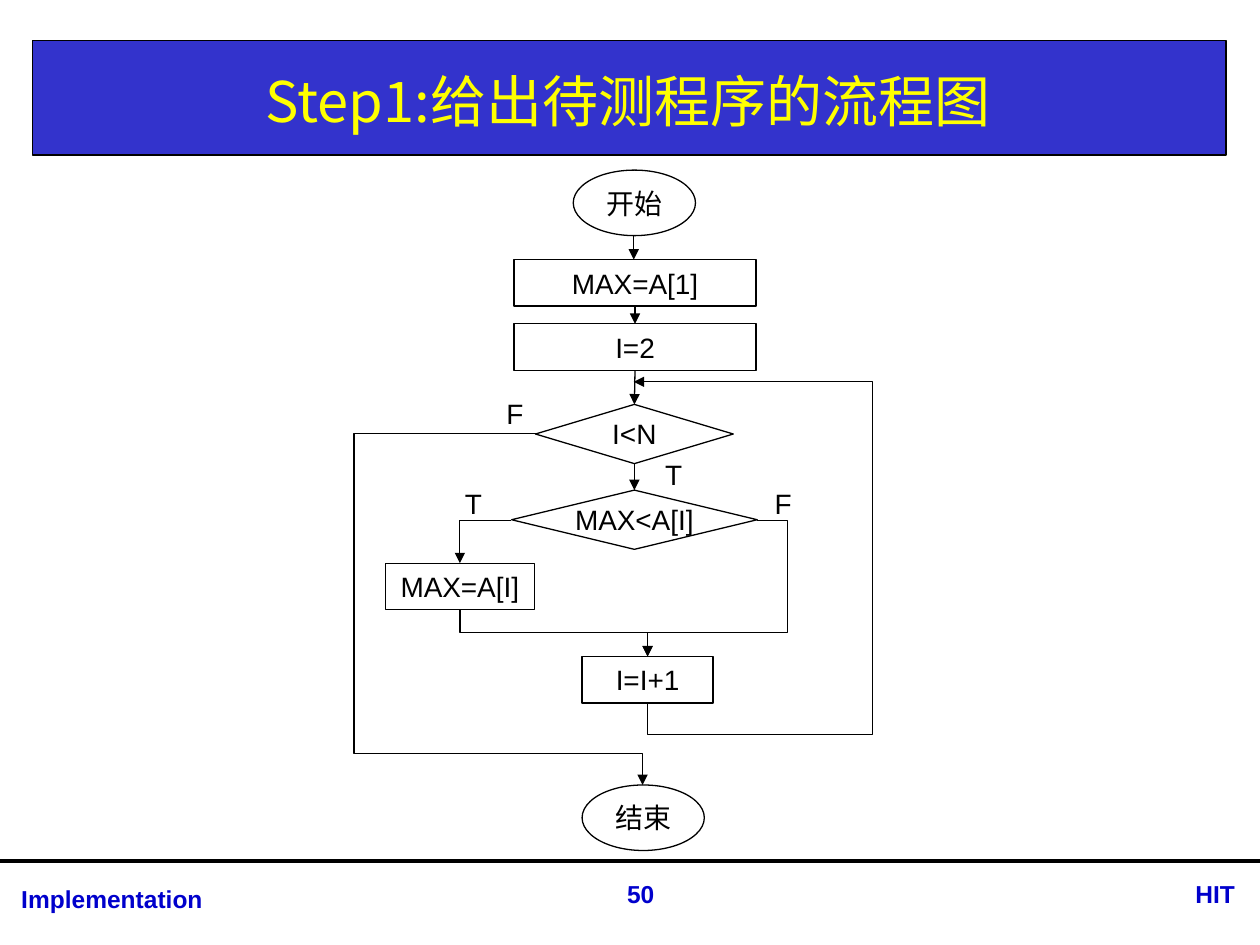
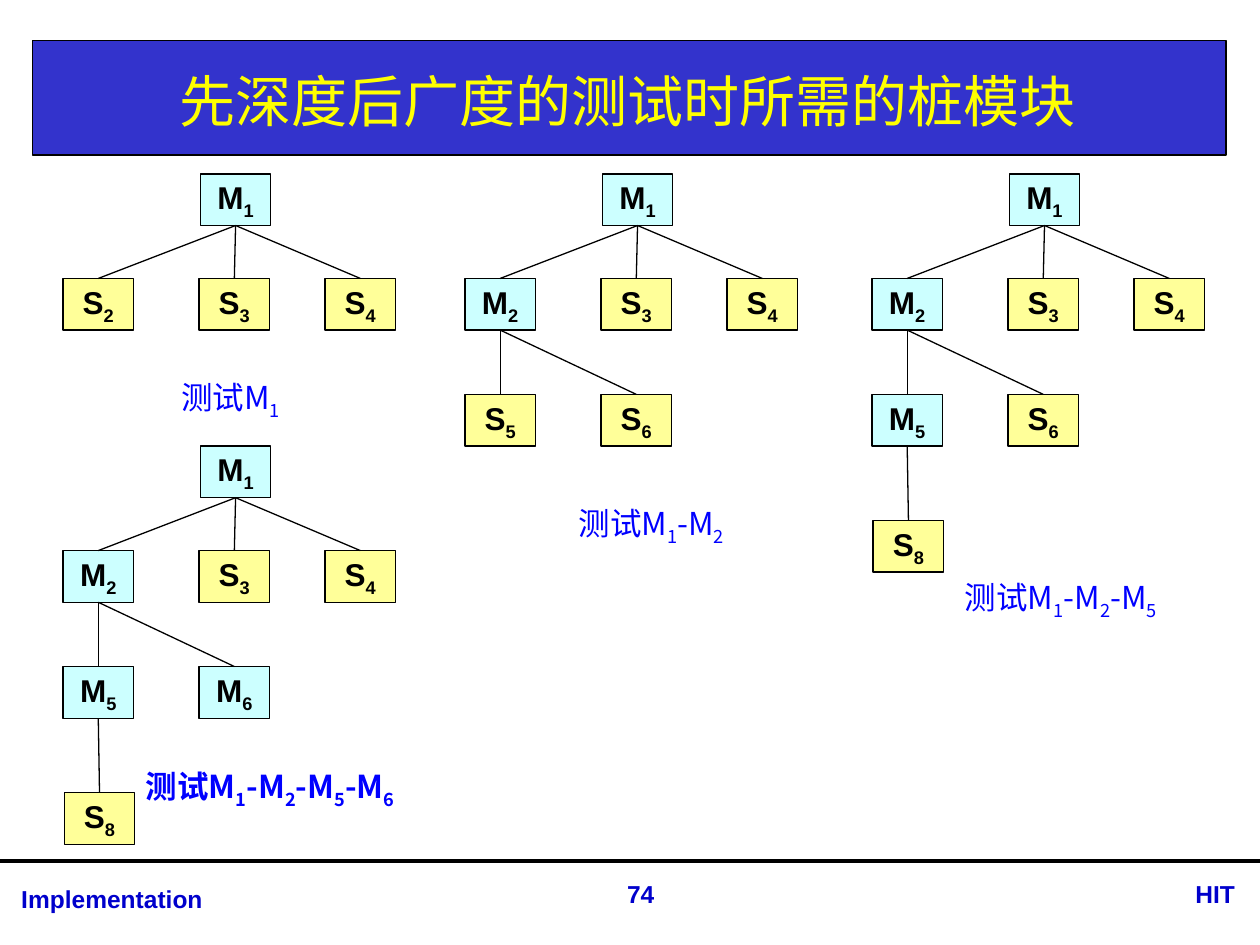
from dataclasses import dataclass

from lxml.etree import SubElement
from pptx import Presentation
from pptx.dml.color import RGBColor
from pptx.enum.shapes import MSO_CONNECTOR as Connector, MSO_SHAPE as Shape
from pptx.enum.text import MSO_ANCHOR as Anchor, MSO_AUTO_SIZE as AutoSize, PP_ALIGN as Align
from pptx.oxml.ns import qn
from pptx.util import Inches, Pt


@dataclass(frozen=True)
class Theme:
    band: str = "3333CC"
    title: str = "FFFF00"
    footer: str = "0000CC"
    caption: str = "0000FF"
    ink: str = "000000"
    module: str = "CCFFFF"
    stub: str = "FFFF99"
    latin: str = "Arial"
    chinese: str = "Noto Sans CJK SC"
    title_size: int = 32
    tree_size: int = 18
    flow_size: int = 16
    footer_size: int = 14
    thin: float = 0.75
    thick: float = 2.25


THEME = Theme()
TOP, LEFT, BOTTOM, RIGHT = range(4)

NODE_SIZE = (0.56, 0.41)
PARENTS = {2: 1, 3: 1, 4: 1, 5: 2, 6: 2, 8: 5}
NODE_OFFSETS = {
    1: (1.09, 0), 2: (0, 0.83), 3: (1.08, 0.83), 4: (2.08, 0.83),
    5: (0, 1.75), 6: (1.08, 1.75), 8: (0.01, 2.75),
}


def inches(values):
    return [Inches(value) for value in values]


def format_paragraph(paragraph, size, color, font=THEME.latin, bold=False, align=Align.CENTER):
    paragraph.alignment = align
    paragraph.font.size = Pt(size)
    paragraph.font.bold = bold
    paragraph.font.color.rgb = RGBColor.from_string(color)
    paragraph.font.name = font
    SubElement(paragraph.font._rPr, qn("a:ea")).set("typeface", font)


def write(paragraph, text):
    """Add the text, setting each part after an underscore's letter low: M_1 gives M with a subscript 1."""
    for part in text.replace("_", "|_").replace("-", "|-").split("|"):
        run = paragraph.add_run()
        run.text = part.lstrip("_")
        if part.startswith("_"):
            run._r.get_or_add_rPr().set("baseline", "-25000")


def add_label(shapes, frame, text, size, color=THEME.ink, wrap=True, **style):
    box = shapes.add_textbox(*inches(frame))
    box.text_frame.word_wrap = wrap
    paragraph = box.text_frame.paragraphs[0]
    write(paragraph, text)
    format_paragraph(paragraph, size, color, **style)


def style_line(line, width=THEME.thin):
    line.color.rgb = RGBColor.from_string(THEME.ink)
    line.width = Pt(width)


def add_box(shapes, frame, kind=Shape.RECTANGLE, fill=None):
    box = shapes.add_shape(kind, *inches(frame))
    box.shadow.inherit = False
    if fill:
        box.fill.solid()
        box.fill.fore_color.rgb = RGBColor.from_string(fill)
    else:
        box.fill.background()
    style_line(box.line)
    return box


def add_node(shapes, frame, text, size, kind=Shape.RECTANGLE, fill=None, **style):
    node = add_box(shapes, frame, kind, fill)
    node.text_frame.word_wrap = True
    node.text_frame.vertical_anchor = Anchor.MIDDLE
    paragraph = node.text_frame.paragraphs[0]
    write(paragraph, text)
    format_paragraph(paragraph, size, THEME.ink, **style)
    return node


def style_connector(connector, width=THEME.thin, arrow=False):
    style_line(connector.line, width)
    if arrow:
        SubElement(connector.line._get_or_add_ln(), qn("a:tailEnd")).set("type", "triangle")
    SubElement(connector._element.spPr, qn("a:effectLst"))


def add_line(shapes, start, end, **style):
    line = shapes.add_connector(Connector.STRAIGHT, *inches(start + end))
    style_connector(line, **style)
    return line


def join_down(shapes, upper, lower, **style):
    line = add_line(shapes, (0, 0), (1, 1), **style)
    line.begin_connect(upper, BOTTOM)
    line.end_connect(lower, TOP)


def add_elbow(shapes, points, begin=None, end=None):
    """Draw an arrow along right-angled points; begin and end are (shape, side) to join."""
    (x0, y0), (x1, y1) = points[0], points[-1]
    elbow = shapes.add_connector(Connector.ELBOW, *inches((x0, y0, x1, y1)))
    if begin:
        elbow.begin_connect(*begin)
    if end:
        elbow.end_connect(*end)

    # A route that sets off vertically is a horizontal one turned by 90 degrees.
    upright = points[1][0] == x0
    local = [(y - y0, x0 - x) if upright else (x - x0, y - y0) for x, y in points]
    span = local[-1]
    width, height = abs(span[0]), abs(span[1])
    elbow.left, elbow.top = inches(((x0 + x1 - width) / 2, (y0 + y1 - height) / 2))
    elbow.width, elbow.height = inches((width, height))
    transform = elbow._element.spPr.find(qn("a:xfrm"))
    transform.set("rot", "5400000" if upright else "0")
    transform.set("flipH", str(int(span[0] < 0)))
    transform.set("flipV", str(int(span[1] < 0)))

    geometry = elbow._element.spPr.find(qn("a:prstGeom"))
    geometry.set("prst", f"bentConnector{len(points) - 1}")
    guides = geometry.find(qn("a:avLst"))
    for index, point in enumerate(local[1:-2], start=1):
        axis = (index + 1) % 2
        share = round(point[axis] / span[axis] * 100000)
        guide = SubElement(guides, qn("a:gd"))
        guide.set("name", f"adj{index}")
        guide.set("fmla", f"val {share}")
    style_connector(elbow, arrow=True)


def add_slide(presentation, title_text, number):
    slide = presentation.slides.add_slide(presentation.slide_layouts[5])
    shapes, title = slide.shapes, slide.shapes.title
    band = add_box(shapes, (0.26, 0.32, 9.47, 0.91), fill=THEME.band)
    title.element.addprevious(band.element)
    title.left, title.top, title.width, title.height = inches((0.26, 0.36, 9.45, 0.87))
    title.text_frame.text = title_text
    title.text_frame.auto_size = AutoSize.NONE
    title.text_frame.vertical_anchor = Anchor.MIDDLE
    format_paragraph(title.text_frame.paragraphs[0], THEME.title_size, THEME.title, THEME.chinese)

    add_line(shapes, (0, 6.83), (10, 6.83), width=THEME.thick)
    for frame, text, align in (
        ((0.07, 6.97, 3.85, 0.34), "Implementation", Align.LEFT),
        ((4.57, 6.93, 1.03, 0.34), str(number), Align.CENTER),
        ((8.87, 6.93, 1.03, 0.34), "HIT", Align.RIGHT),
    ):
        add_label(shapes, frame, text, THEME.footer_size, THEME.footer, bold=True, align=align)
    return slide


def add_flowchart(slide):
    shapes = slide.shapes.add_group_shape().shapes
    size = THEME.flow_size

    def terminal(left, top, text):
        return add_node(shapes, (left, top, 0.97, 0.52), text, size, Shape.OVAL, font=THEME.chinese)

    def step(left, top, width, text):
        return add_node(shapes, (left, top, width, 0.37), text, size)

    def decision(left, top, width, text):
        diamond = add_box(shapes, (left, top, width, 0.47), Shape.DIAMOND)
        add_label(shapes, (left, top + 0.05, width, 0.37), text, size, wrap=False)
        return diamond

    start = terminal(4.55, 1.35, "开始")
    first_max = step(4.08, 2.06, 1.92, "MAX=A[1]")
    first_index = step(4.08, 2.57, 1.92, "I=2")
    in_range = decision(4.25, 3.21, 1.57, "I<N")
    is_larger = decision(4.06, 3.89, 1.95, "MAX<A[I]")
    new_max = step(3.06, 4.47, 1.18, "MAX=A[I]")
    next_index = step(4.62, 5.21, 1.04, "I=I+1")
    finish = terminal(4.62, 6.23, "结束")

    for left, top, text in (
        (3.92, 3.1, "F"), (5.18, 3.58, "T"), (3.59, 3.81, "T"), (6.05, 3.81, "F"),
    ):
        add_label(shapes, (left, top, 0.25, 0.37), text, size, wrap=False)

    middle = 5.03
    add_line(shapes, (middle, 1.87), (middle, 2.06), arrow=True)
    for upper, lower in (
        (first_max, first_index), (first_index, in_range), (in_range, is_larger),
    ):
        join_down(shapes, upper, lower, arrow=True)

    add_elbow(shapes, [(4.25, 3.44), (2.81, 3.44), (2.81, 5.98), (5.1, 5.98), (5.1, 6.23)],
              (in_range, LEFT), (finish, TOP))
    add_elbow(shapes, [(4.06, 4.13), (3.65, 4.13), (3.65, 4.47)],
              (is_larger, LEFT), (new_max, TOP))
    add_elbow(shapes, [(3.65, 4.84), (3.65, 5.02), (5.14, 5.02), (5.14, 5.21)],
              (new_max, BOTTOM), (next_index, TOP))
    add_elbow(shapes, [(6.01, 4.13), (6.25, 4.13), (6.25, 5.02), (5.14, 5.02), (5.14, 5.21)],
              (is_larger, RIGHT), (next_index, TOP))
    add_elbow(shapes, [(5.14, 5.58), (5.14, 5.83), (6.93, 5.83), (6.93, 3.03), (middle, 3.03)],
              (next_index, BOTTOM))


def add_test_tree(slide, origin, tested, caption_frame, bold=False):
    """Draw the tested modules, with a stub for each untested module they call."""
    shapes = slide.shapes.add_group_shape().shapes
    nodes = {}
    for number, (across, down) in NODE_OFFSETS.items():
        parent = PARENTS.get(number)
        if parent and parent not in tested:
            continue
        letter, fill = ("M", THEME.module) if number in tested else ("S", THEME.stub)
        frame = (origin[0] + across, origin[1] + down, *NODE_SIZE)
        nodes[number] = add_node(shapes, frame, f"{letter}_{number}", THEME.tree_size,
                                 fill=fill, bold=True)
        if parent:
            join_down(shapes, nodes[parent], nodes[number])
    caption = "测试" + "-".join(f"M_{number}" for number in tested)
    add_label(slide.shapes, caption_frame, caption, THEME.tree_size, THEME.caption,
              font=THEME.chinese, bold=bold)


def main():
    presentation = Presentation()
    presentation.slide_width, presentation.slide_height = inches((10, 7.5))

    add_flowchart(add_slide(presentation, "Step1:给出待测程序的流程图", 50))

    stubs = add_slide(presentation, "先深度后广度的测试时所需的桩模块", 74)
    add_test_tree(stubs, (0.5, 1.38), [1], (0.83, 2.95, 2, 0.4))
    add_test_tree(stubs, (3.69, 1.38), [1, 2], (4.17, 3.95, 2, 0.4))
    add_test_tree(stubs, (6.92, 1.38), [1, 2, 5], (7.42, 4.54, 2, 0.4))
    add_test_tree(stubs, (0.5, 3.54), [1, 2, 5, 6], (0.98, 6.04, 2.33, 0.4), bold=True)

    presentation.save("out.pptx")


if __name__ == "__main__":
    main()
